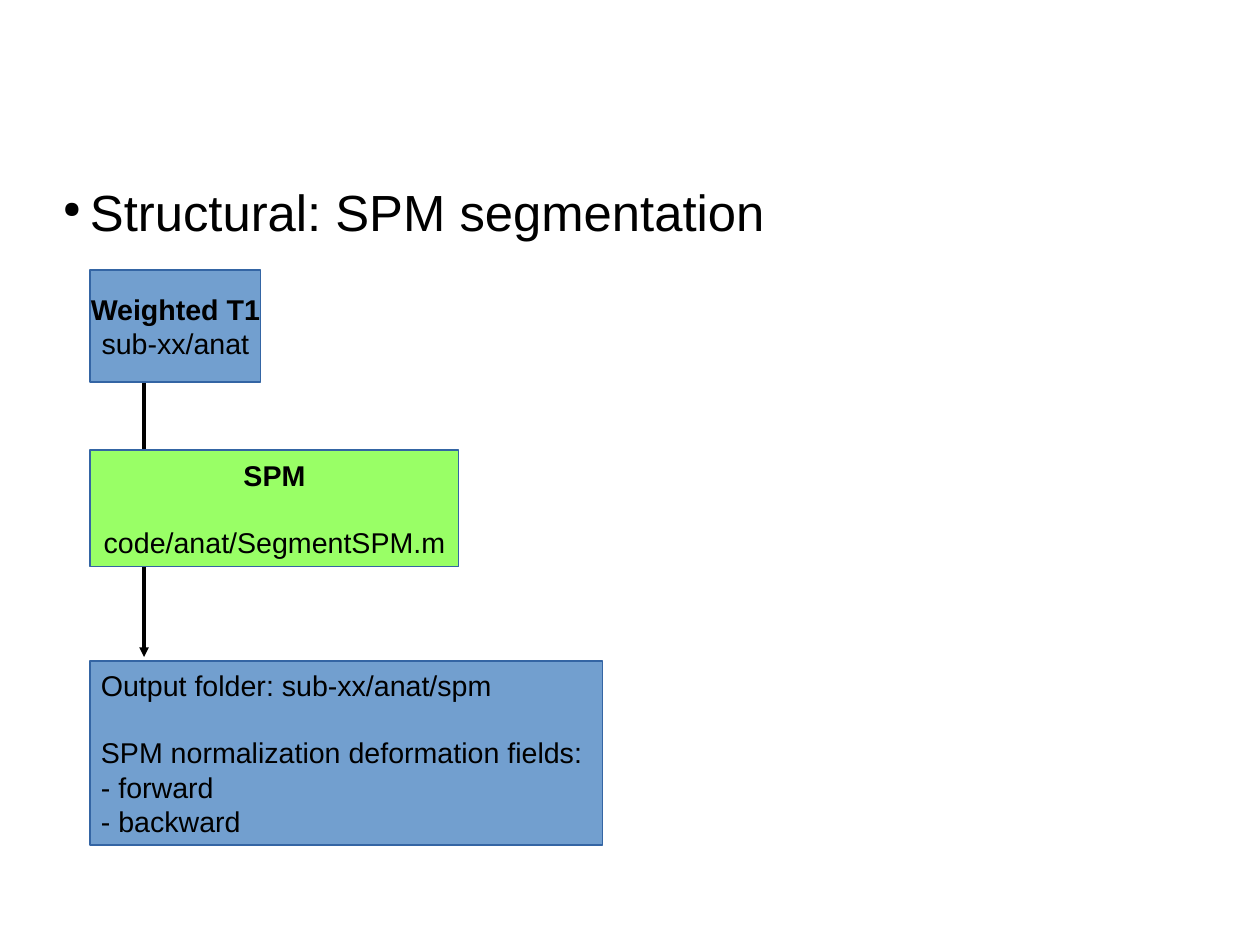
from lxml import etree
from pptx import Presentation
from pptx.dml.color import RGBColor
from pptx.enum.shapes import MSO_CONNECTOR, MSO_SHAPE
from pptx.enum.text import MSO_ANCHOR, PP_ALIGN
from pptx.oxml.ns import qn
from pptx.util import Pt

EMU_PER_PX = 8000
RECTANGLE = MSO_SHAPE.RECTANGLE
STRAIGHT = MSO_CONNECTOR.STRAIGHT
MIDDLE, TOP = MSO_ANCHOR.MIDDLE, MSO_ANCHOR.TOP
LEFT, CENTER, JUSTIFY = PP_ALIGN.LEFT, PP_ALIGN.CENTER, PP_ALIGN.JUSTIFY

BLACK, BLUE, GREEN, BORDER = "000000", "729FCF", "99FF66", "3465A4"
BOX_LEFT = 90
SECTION_GAP = 21  # points, one line of box text


def px(length):
    return length * EMU_PER_PX


def color(value):
    return RGBColor.from_string(value)


def set_frame(frame, horizontal, vertical, anchor, wrap):
    settings = {
        "margin_left": px(horizontal), "margin_right": px(horizontal),
        "margin_top": px(vertical), "margin_bottom": px(vertical),
        "vertical_anchor": anchor, "word_wrap": wrap,
    }
    for name, value in settings.items():
        setattr(frame, name, value)


def write(paragraph, text, size, alignment, bold=False, gap=0):
    paragraph.alignment = alignment
    paragraph.space_before = Pt(gap)
    run = paragraph.add_run()
    run.text = text
    settings = {"name": "Arial", "size": Pt(size), "bold": bold}
    for name, value in settings.items():
        setattr(run.font, name, value)
    run.font.color.rgb = color(BLACK)


def add_bullet(paragraph, indent, percent):
    properties = paragraph._p.get_or_add_pPr()
    properties.set("marL", str(px(indent)))
    properties.set("indent", str(-px(indent)))
    bullet_color = etree.SubElement(properties, qn("a:buClr"))
    etree.SubElement(bullet_color, qn("a:srgbClr"), val=BLACK)
    etree.SubElement(properties, qn("a:buSzPct"), val=str(percent * 1000))
    etree.SubElement(properties, qn("a:buChar"), char="●")


def add_heading(slide, text):
    box = slide.shapes.add_textbox(px(63), px(181), px(1134), px(63))
    set_frame(box.text_frame, 0, 0, TOP, True)
    paragraph = box.text_frame.paragraphs[0]
    write(paragraph, text, 32, JUSTIFY)
    add_bullet(paragraph, 27, 45)


def add_box(slide, top, width, height, fill, alignment, lines):
    """Each line is (text, bold, gap before in points)."""
    shape = slide.shapes.add_shape(
        RECTANGLE, px(BOX_LEFT), px(top), px(width), px(height))
    shape.shadow.inherit = False
    shape.fill.solid()
    shape.fill.fore_color.rgb = color(fill)
    shape.line.color.rgb = color(BORDER)
    shape.line.width = Pt(0.75)
    frame = shape.text_frame
    set_frame(frame, 11, 6, MIDDLE, False)
    for index, (text, bold, gap) in enumerate(lines):
        paragraph = frame.add_paragraph() if index else frame.paragraphs[0]
        write(paragraph, text, 18, alignment, bold, gap)


def add_arrow(slide, x, top, bottom):
    arrow = slide.shapes.add_connector(
        STRAIGHT, px(x), px(top), px(x), px(bottom))
    arrow.line.color.rgb = color(BLACK)
    arrow.line.width = Pt(0)
    etree.SubElement(arrow.line._get_or_add_ln(), qn("a:tailEnd"), type="triangle")
    etree.SubElement(arrow._element.spPr, qn("a:effectLst"))


def main():
    presentation = Presentation()
    presentation.slide_width, presentation.slide_height = px(1260), px(945)
    slide = presentation.slides.add_slide(presentation.slide_layouts[6])

    add_heading(slide, "Structural: SPM segmentation")

    # Input image
    add_box(slide, 270, 171, 112, BLUE, CENTER, [
        ("Weighted T1", True, 0),
        ("sub-xx/anat", False, 0),
    ])

    # Flow from input to output, passing behind the SPM step
    add_arrow(slide, 144, 383, 657)

    # Output folder
    add_box(slide, 661, 513, 184, BLUE, LEFT, [
        ("Output folder: sub-xx/anat/spm", False, 0),
        ("SPM normalization deformation fields:", False, SECTION_GAP),
        ("- forward", False, 0),
        ("- backward", False, 0),
    ])

    # Segmentation step
    add_box(slide, 450, 369, 117, GREEN, CENTER, [
        ("SPM", True, 0),
        ("code/anat/SegmentSPM.m", False, SECTION_GAP),
    ])

    presentation.save("out.pptx")


if __name__ == "__main__":
    main()
